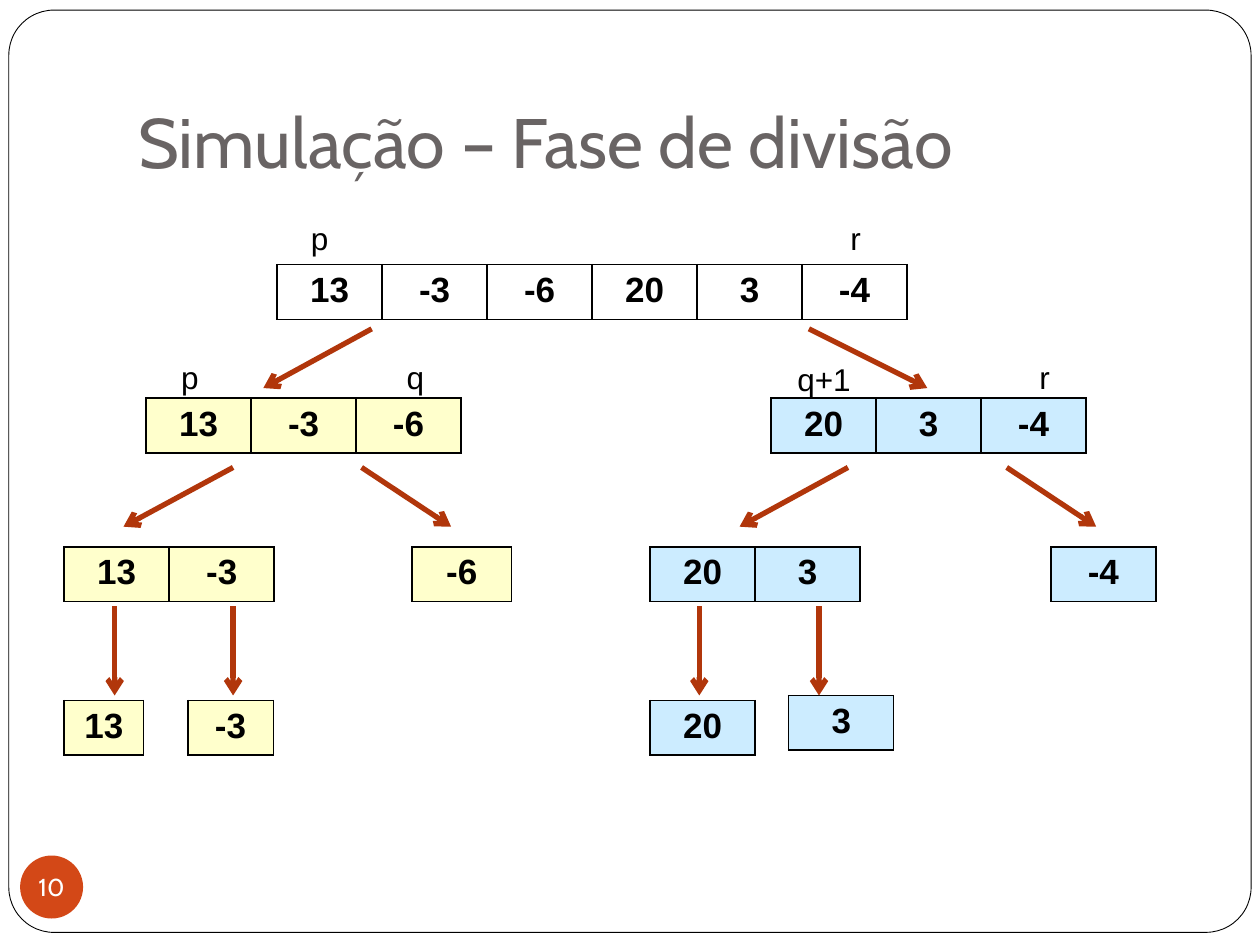
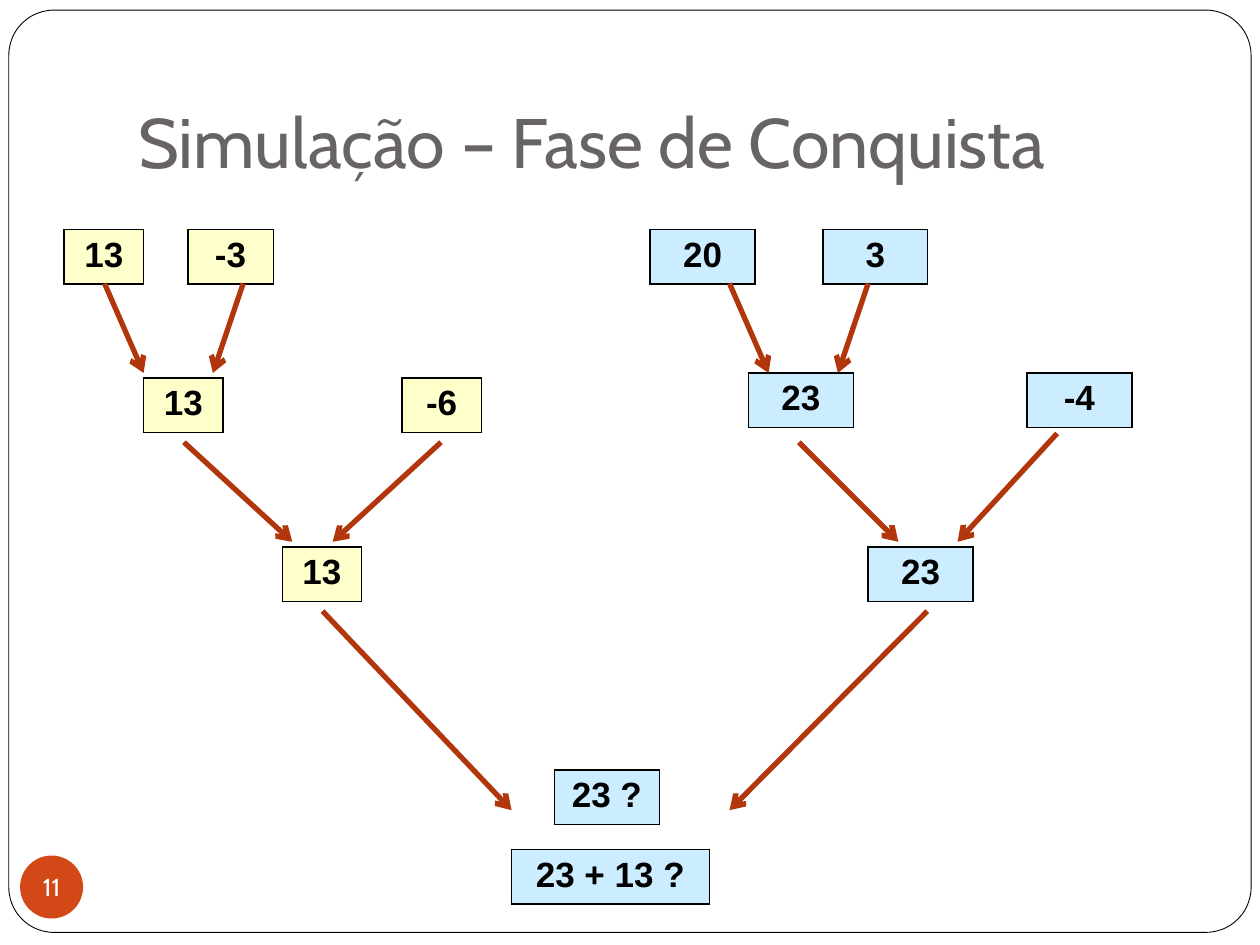
from pptx import Presentation
from pptx.dml.color import RGBColor
from pptx.enum.shapes import MSO_CONNECTOR, MSO_SHAPE
from pptx.enum.text import MSO_ANCHOR, MSO_AUTO_SIZE, PP_ALIGN
from pptx.oxml.ns import qn
from pptx.util import Inches, Pt
from lxml import etree

STRAIGHT = MSO_CONNECTOR.STRAIGHT
ROUND_RECT, OVAL = MSO_SHAPE.ROUNDED_RECTANGLE, MSO_SHAPE.OVAL
TOP, MIDDLE, BOTTOM = MSO_ANCHOR.TOP, MSO_ANCHOR.MIDDLE, MSO_ANCHOR.BOTTOM
LEFT, CENTER = PP_ALIGN.LEFT, PP_ALIGN.CENTER
GROW = MSO_AUTO_SIZE.SHAPE_TO_FIT_TEXT

THEME = {
    "white": "FFFFFF", "black": "000000", "title": "696464", "badge": "D34817",
    "arrow": "B1360B", "left_half": "FFFFCC", "right_half": "CCECFF",
    "head_font": "Cabin", "body_font": "Arial",
    "title_pt": 40, "number_pt": 14, "cell_pt": 20, "label_pt": 18,
    "frame_line": 0.5, "cell_line": 1, "arrow_line": 3,
}

# Content. Arrays: (left, column width, values), grouped as (top, fill, arrays).
# Arrows: (from y, to y, [(from x, to x), ...]). Labels: (left, top, width, text).
COL = 5 / 6
NARROW = 0.63
ROW_H = 0.41

SLIDES = [
    {
        "title": "Simulação – Fase de divisão", "number": "10",
        "arrays": [
            (2.1, None, [(2.2, COL, ["13", "-3", "-6", "20", "3", "-4"])]),
            (3.16, "left_half", [(1.16, COL, ["13", "-3", "-6"])]),
            (3.16, "right_half", [(6.12, COL, ["20", "3", "-4"])]),
            (4.34, "left_half", [(0.51, COL, ["13", "-3"]), (3.27, 0.79, ["-6"])]),
            (4.34, "right_half", [(5.16, COL, ["20", "3"]), (8.34, COL, ["-4"])]),
            (5.56, "left_half", [(0.51, NARROW, ["13"]), (1.49, 0.68, ["-3"])]),
            (5.56, "right_half", [(5.16, COL, ["20"])]),
            (5.52, "right_half", [(6.26, COL, ["3"])]),
        ],
        "arrows": [
            (2.61, 3.08, [(2.95, 2.09), (6.42, 7.36)]),
            (3.71, 4.18, [(1.85, 0.98), (2.87, 3.58), (6.73, 5.87), (7.99, 8.7)]),
            (4.81, 5.52, [(x, x) for x in (0.91, 1.85, 5.55, 6.5)]),
        ],
        "labels": [
            (2.37, 1.69, 0.34, "p"), (6.65, 1.69, 0.29, "r"),
            (1.34, 2.79, 0.34, "p"), (3.13, 2.79, 0.34, "q"),
            (6.23, 2.81, 0.63, "q+1"), (8.15, 2.79, 0.29, "r"),
        ],
    },
    {
        "title": "Simulação – Fase de Conquista", "number": "11",
        "arrays": [
            (1.82, "left_half", [(0.51, NARROW, ["13"]), (1.49, 0.68, ["-3"])]),
            (1.82, "right_half", [(5.16, COL, ["20"]), (6.53, COL, ["3"])]),
            (3, "left_half", [(1.14, NARROW, ["13"]), (3.19, NARROW, ["-6"])]),
            (2.96, "right_half", [(5.94, COL, ["23"]), (8.15, COL, ["-4"])]),
            (4.34, "left_half", [(2.24, NARROW, ["13"])]),
            (4.34, "right_half", [(6.89, COL, ["23"])]),
            (6.11, "right_half", [(4.4, COL, ["23 ?"])]),
            (6.74, "right_half", [(4.06, 1.57, ["23 + 13 ?"])]),
        ],
        "arrows": [
            (2.25, 2.96, [(0.83, 1.14), (1.93, 1.69), (5.79, 6.1), (6.89, 6.65)]),
            (3.51, 4.3, [(1.46, 2.32), (3.5, 2.64), (6.34, 7.13)]),
            (3.44, 4.3, [(8.39, 7.6)]),
            (4.85, 6.43, [(2.56, 4.06), (7.36, 5.79)]),
        ],
        "labels": [],
    },
]


def rgb(name):
    return RGBColor.from_string(THEME[name])


def box(*lengths):
    return [Inches(v) for v in lengths]


def write(tf, text, font, size, color, align=LEFT, bold=False):
    p = tf.paragraphs[0]
    p.alignment = align
    r = p.add_run()
    r.text = text
    r.font.name, r.font.size = THEME[font], Pt(THEME[size])
    r.font.bold, r.font.color.rgb = bold, rgb(color)


def set_frame(tf, anchor, margins, wrap):
    tf.vertical_anchor, tf.word_wrap = anchor, wrap
    tf.margin_left, tf.margin_top, tf.margin_right, tf.margin_bottom = box(*margins)


def add_preset(s, kind, at, fill):
    sp = s.shapes.add_shape(kind, *box(*at))
    sp.shadow.inherit = False
    sp.fill.solid()
    sp.fill.fore_color.rgb = rgb(fill)
    return sp


def add_base(s, title, number):
    # Rounded page frame
    frame = add_preset(s, ROUND_RECT, (0.07, 0.08, 9.86, 7.32), "white")
    frame.adjustments[0] = 0.049
    frame.line.color.rgb = rgb("black")
    frame.line.width = Pt(THEME["frame_line"])
    # Title
    tf = s.shapes.add_textbox(*box(1, 0.3, 8.5, 1.25)).text_frame
    set_frame(tf, BOTTOM, (0.1, 0.05, 0.1, 0.1), True)
    write(tf, title, "head_font", "title_pt", "title")
    # Slide number badge
    badge = add_preset(s, OVAL, (0.16, 6.79, 0.5, 0.5), "badge")
    badge.line.fill.background()
    set_frame(badge.text_frame, MIDDLE, (0, 0, 0, 0), False)
    write(badge.text_frame, number, "head_font", "number_pt", "white", CENTER)


def add_borders(cell):
    tc_pr = cell._tc.get_or_add_tcPr()
    for side in ("a:lnL", "a:lnR", "a:lnT", "a:lnB"):
        ln = etree.SubElement(tc_pr, qn(side), w=str(Pt(THEME["cell_line"])))
        fill = etree.SubElement(ln, qn("a:solidFill"))
        etree.SubElement(fill, qn("a:srgbClr"), val=THEME["black"])


def add_array(s, left, top, col_w, values, fill):
    at = box(left, top, col_w * len(values), ROW_H)
    table = s.shapes.add_table(1, len(values), *at).table
    table.first_row = table.horz_banding = False
    for i, value in enumerate(values):
        table.columns[i].width = Inches(col_w)
        cell = table.cell(0, i)
        add_borders(cell)
        if fill:
            cell.fill.solid()
            cell.fill.fore_color.rgb = rgb(fill)
        else:
            cell.fill.background()
        write(cell.text_frame, value, "body_font", "cell_pt", "black", CENTER, True)


def add_arrow(s, x1, y1, x2, y2):
    line = s.shapes.add_connector(STRAIGHT, *box(x1, y1, x2, y2))
    line.line.color.rgb = rgb("arrow")
    line.line.width = Pt(THEME["arrow_line"])
    etree.SubElement(line.line._get_or_add_ln(), qn("a:tailEnd"), type="arrow")
    etree.SubElement(line._element.spPr, qn("a:effectLst"))


def add_label(s, left, top, width, text):
    tf = s.shapes.add_textbox(*box(left, top, width, 0.4)).text_frame
    set_frame(tf, TOP, (0.1, 0.05, 0.1, 0.05), False)
    tf.auto_size = GROW
    write(tf, text, "body_font", "label_pt", "black")


def main():
    prs = Presentation()
    prs.slide_width, prs.slide_height = box(10, 7.5)
    for data in SLIDES:
        s = prs.slides.add_slide(prs.slide_layouts[6])
        add_base(s, data["title"], data["number"])
        for top, fill, arrays in data["arrays"]:
            for left, col_w, values in arrays:
                add_array(s, left, top, col_w, values, fill)
        for y1, y2, spans in data["arrows"]:
            for x1, x2 in spans:
                add_arrow(s, x1, y1, x2, y2)
        for label in data["labels"]:
            add_label(s, *label)
    prs.save("out.pptx")


if __name__ == "__main__":
    main()
